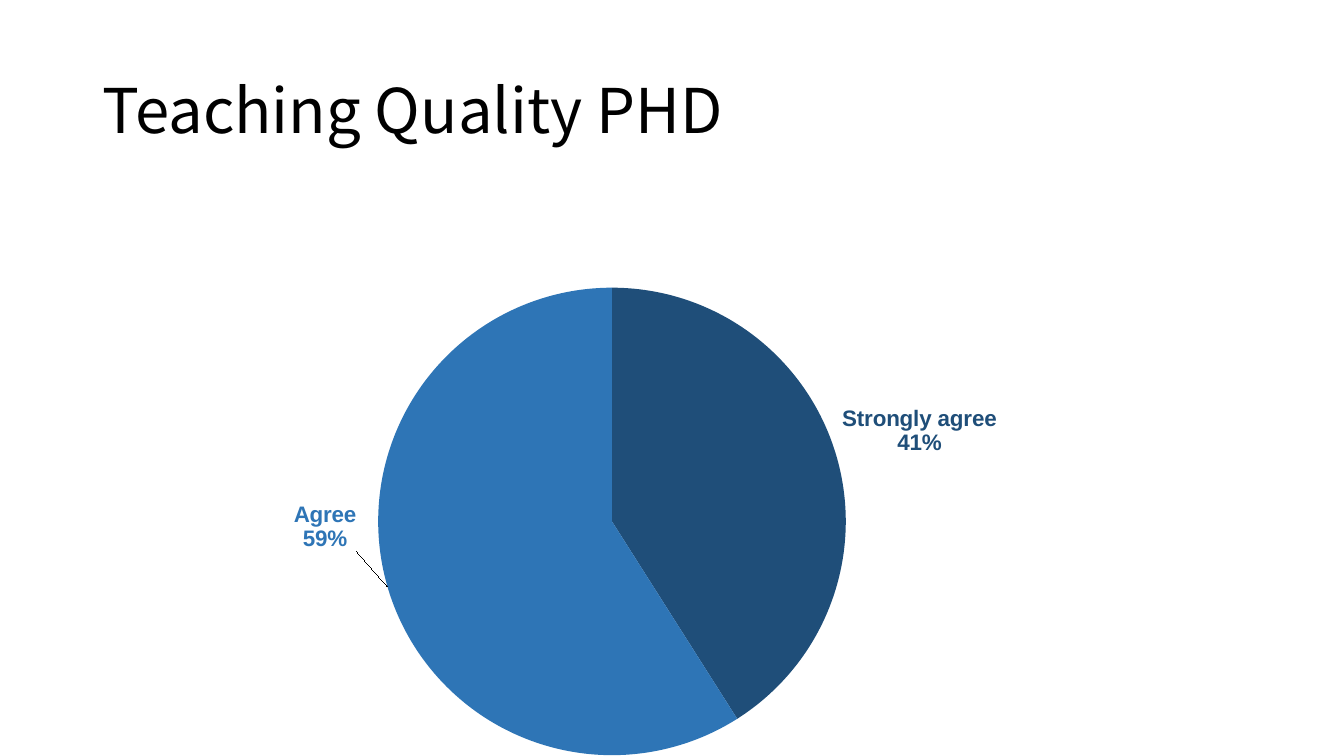
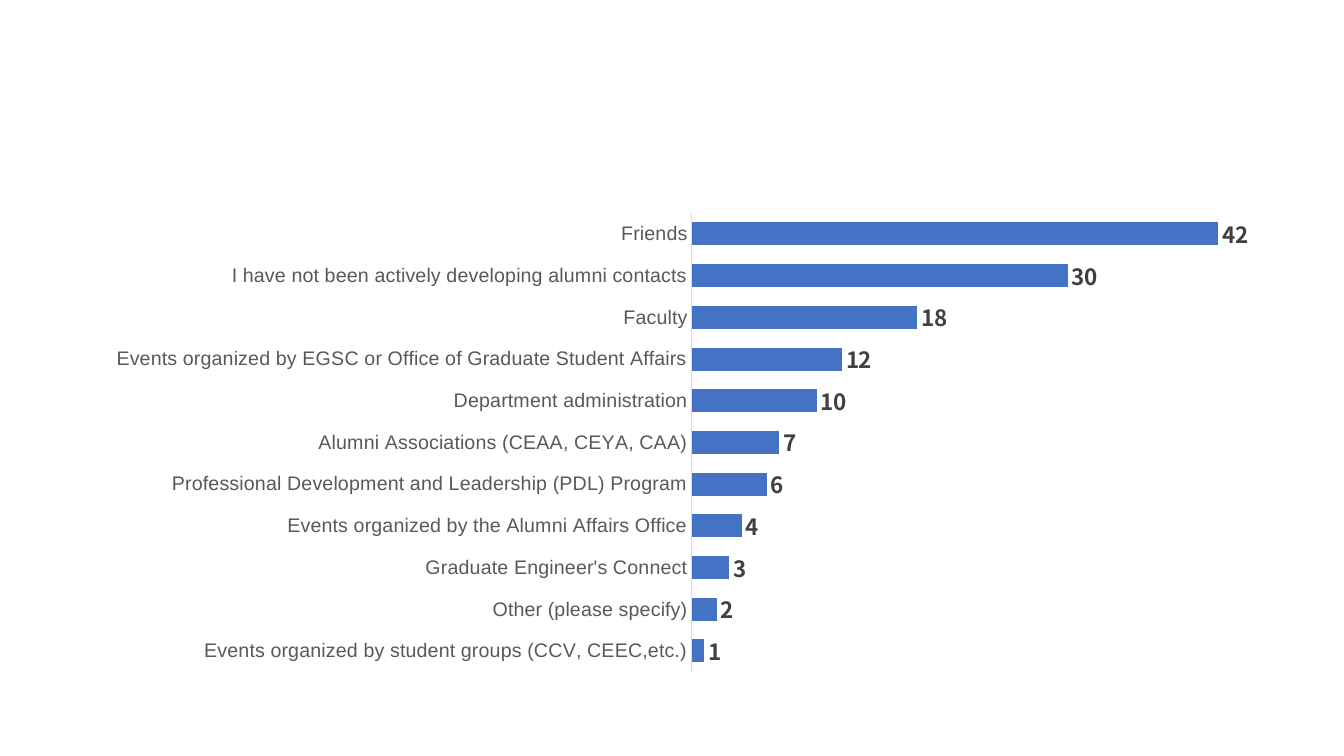
from lxml.etree import SubElement
from pptx import Presentation
from pptx.chart.data import CategoryChartData
from pptx.dml.color import RGBColor
from pptx.enum.chart import XL_CHART_TYPE, XL_LABEL_POSITION, XL_TICK_MARK
from pptx.enum.text import MSO_ANCHOR, PP_ALIGN
from pptx.oxml.ns import qn
from pptx.util import Inches, Pt

BLACK = RGBColor(0x00, 0x00, 0x00)
DARK_GREY = RGBColor(0x40, 0x40, 0x40)
GREY = RGBColor(0x59, 0x59, 0x59)
LIGHT_GREY = RGBColor(0xD9, 0xD9, 0xD9)
BAR_BLUE = RGBColor(0x44, 0x72, 0xC4)
NAVY = RGBColor(0x1F, 0x4E, 0x79)
BLUE = RGBColor(0x2E, 0x75, 0xB6)
SKY = RGBColor(0x56, 0x94, 0xCB)
PALE = RGBColor(0xBD, 0xD7, 0xEE)
PALEST = RGBColor(0xDE, 0xEB, 0xF7)
SILVER = RGBColor(0xBF, 0xBF, 0xBF)

MAIN_FONT = "Noto Sans CJK SC"
LABEL_FONT = "Arial"
TITLE_ONLY, BLANK = 5, 6

RATINGS = [
    ("Strongly agree", 41, NAVY),
    ("Agree", 59, BLUE),
    ("Neither agree nor disagree", 0, SKY),
    ("Disagree", 0, PALE),
    ("Strongly disagree", 0, PALEST),
    ("Not Applicable", 0, SILVER),
]
LABEL_SHIFTS = {"Agree": {"x": -0.03, "y": -0.15}}

CONTACT_SOURCES = [
    ("Friends", 42),
    ("I have not been actively developing alumni contacts", 30),
    ("Faculty", 18),
    ("Events organized by EGSC or Office of Graduate Student Affairs", 12),
    ("Department administration", 10),
    ("Alumni Associations (CEAA, CEYA, CAA)", 7),
    ("Professional Development and Leadership (PDL) Program", 6),
    ("Events organized by the Alumni Affairs Office", 4),
    ("Graduate Engineer's Connect", 3),
    ("Other (please specify)", 2),
    ("Events organized by student groups (CCV, CEEC,etc.)", 1),
]


def style_font(font, size, color, name=MAIN_FONT, bold=False):
    font.name = name
    font.size = Pt(size)
    font.bold = bold
    font.color.rgb = color


def add_title(page, text):
    title = page.shapes.title
    title.left, title.top = Inches(0.92), Inches(0.4)
    title.width, title.height = Inches(11.5), Inches(1.45)
    title.text_frame.text = text
    title.text_frame.vertical_anchor = MSO_ANCHOR.MIDDLE
    para = title.text_frame.paragraphs[0]
    para.alignment = PP_ALIGN.LEFT
    para.line_spacing = 0.9
    style_font(para.runs[0].font, 44, BLACK)


def add_plain_chart(page, kind, box, categories, values):
    """Add a one-series chart without title or legend."""
    data = CategoryChartData()
    data.categories = categories
    data.add_series("Series 1", values)
    frame = page.shapes.add_chart(kind, *map(Inches, box), data)
    chart = frame.chart
    chart.has_title = False
    chart.has_legend = False
    style_font(chart.font, 10, BLACK)
    return chart


def add_layout(parent, position, **settings):
    """Put a manual layout at the given child position of a chart element."""
    for old in parent.findall(qn("c:layout")):
        parent.remove(old)
    layout = SubElement(parent, qn("c:layout"))
    parent.insert(position, layout)
    manual = SubElement(layout, qn("c:manualLayout"))
    for tag, value in settings.items():
        SubElement(manual, qn(f"c:{tag}")).set("val", str(value))


def label_slice(point, color, shift):
    """Show category and percentage outside a slice."""
    label = point.data_label
    style_font(label.font, 16, color, LABEL_FONT, True)
    label.position = XL_LABEL_POSITION.OUTSIDE_END
    element = label.font._element.getparent()
    while element.tag != qn("c:dLbl"):
        element = element.getparent()
    for tag, shown in (("showVal", 0), ("showCatName", 1), ("showPercent", 1)):
        element.find(qn(f"c:{tag}")).set("val", str(shown))
    SubElement(element, qn("c:separator")).text = "\n"
    if shift:
        add_layout(element, 1, **shift)


def hide_labels(labels, indexes):
    """Delete the labels of the given points, keeping the index order."""
    start = len(labels.findall(qn("c:dLbl")))
    for offset, index in enumerate(indexes):
        label = SubElement(labels, qn("c:dLbl"))
        labels.insert(start + offset, label)
        SubElement(label, qn("c:idx")).set("val", str(index))
        SubElement(label, qn("c:delete")).set("val", "1")


def add_rating_pie(page, box):
    names, values, colors = zip(*RATINGS)
    chart = add_plain_chart(page, XL_CHART_TYPE.PIE, box, names, values)
    add_layout(chart._chartSpace.chart.plotArea, 0, layoutTarget="inner",
               xMode="edge", yMode="edge", x=0.185, y=0.176, w=0.623, h=0.821)
    plot = chart.plots[0]
    plot.vary_by_categories = True
    series = plot.series[0]
    for index, (name, value, color) in enumerate(RATINGS):
        point = series.points[index]
        point.format.fill.solid()
        point.format.fill.fore_color.rgb = color
        point.format.line.fill.background()
        if value:
            label_slice(point, color, LABEL_SHIFTS.get(name))
    empty = [index for index, value in enumerate(values) if not value]
    hide_labels(series._element.find(qn("c:dLbls")), empty)


def add_source_bars(page, box):
    chart = add_plain_chart(page, XL_CHART_TYPE.BAR_CLUSTERED, box,
                            *zip(*CONTACT_SOURCES))
    names_axis, values_axis = chart.category_axis, chart.value_axis
    names_axis.reverse_order = True
    names_axis.major_tick_mark = XL_TICK_MARK.NONE
    names_axis.format.line.color.rgb = LIGHT_GREY
    names_axis.format.line.width = Pt(0.75)
    style_font(names_axis.tick_labels.font, 14, GREY, LABEL_FONT)
    values_axis.visible = False
    values_axis.has_major_gridlines = False
    values_axis.minimum_scale, values_axis.maximum_scale = 0, 45

    plot = chart.plots[0]
    plot.vary_by_categories = False
    plot.gap_width = 82
    fill = plot.series[0].format.fill
    fill.solid()
    fill.fore_color.rgb = BAR_BLUE
    labels = plot.series[0].data_labels
    labels.show_value = True
    labels.position = XL_LABEL_POSITION.OUTSIDE_END
    style_font(labels.font, 16, DARK_GREY, bold=True)


def main():
    deck = Presentation()
    deck.slide_width, deck.slide_height = Inches(13.33), Inches(7.5)

    page = deck.slides.add_slide(deck.slide_layouts[TITLE_ONLY])
    add_title(page, "Teaching Quality PHD")
    add_rating_pie(page, (1.9, 1.86, 8.4, 5.65))

    page = deck.slides.add_slide(deck.slide_layouts[BLANK])
    add_source_bars(page, (0.92, 2.02, 11.77, 4.74))

    deck.save("out.pptx")


if __name__ == "__main__":
    main()
